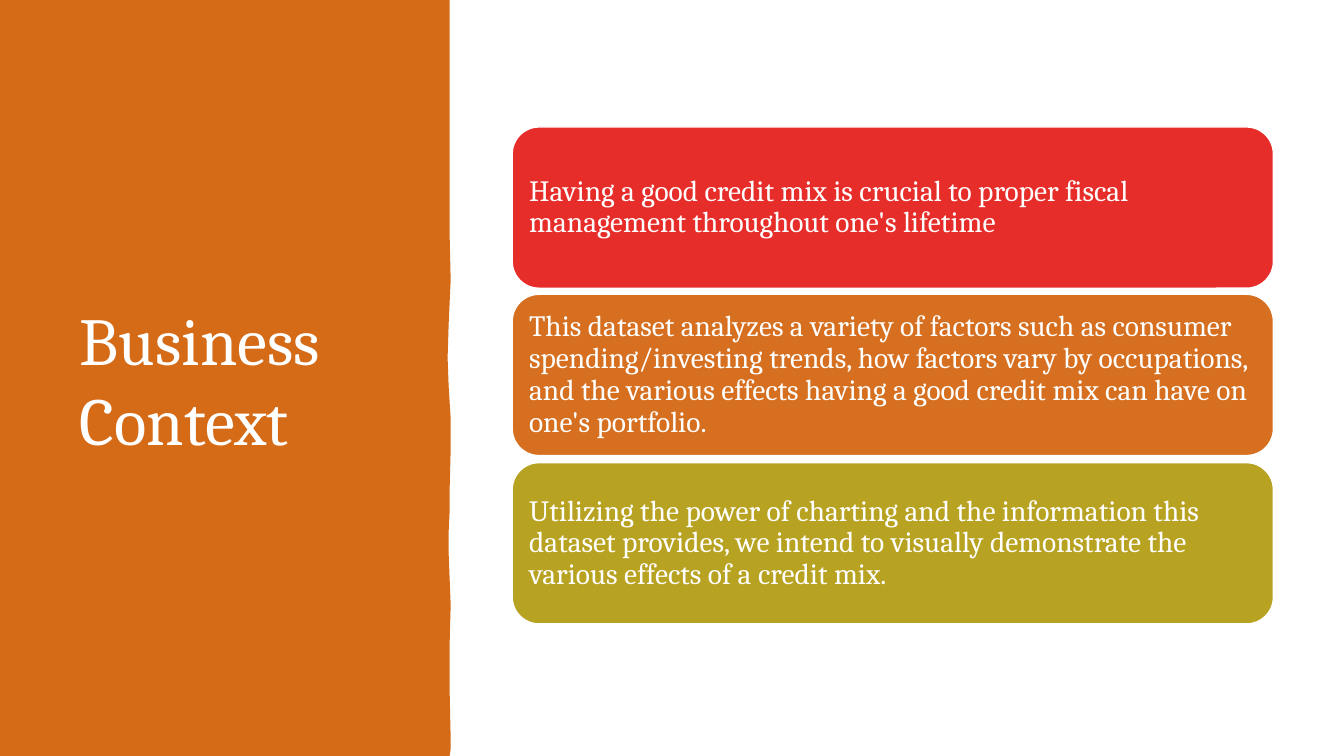
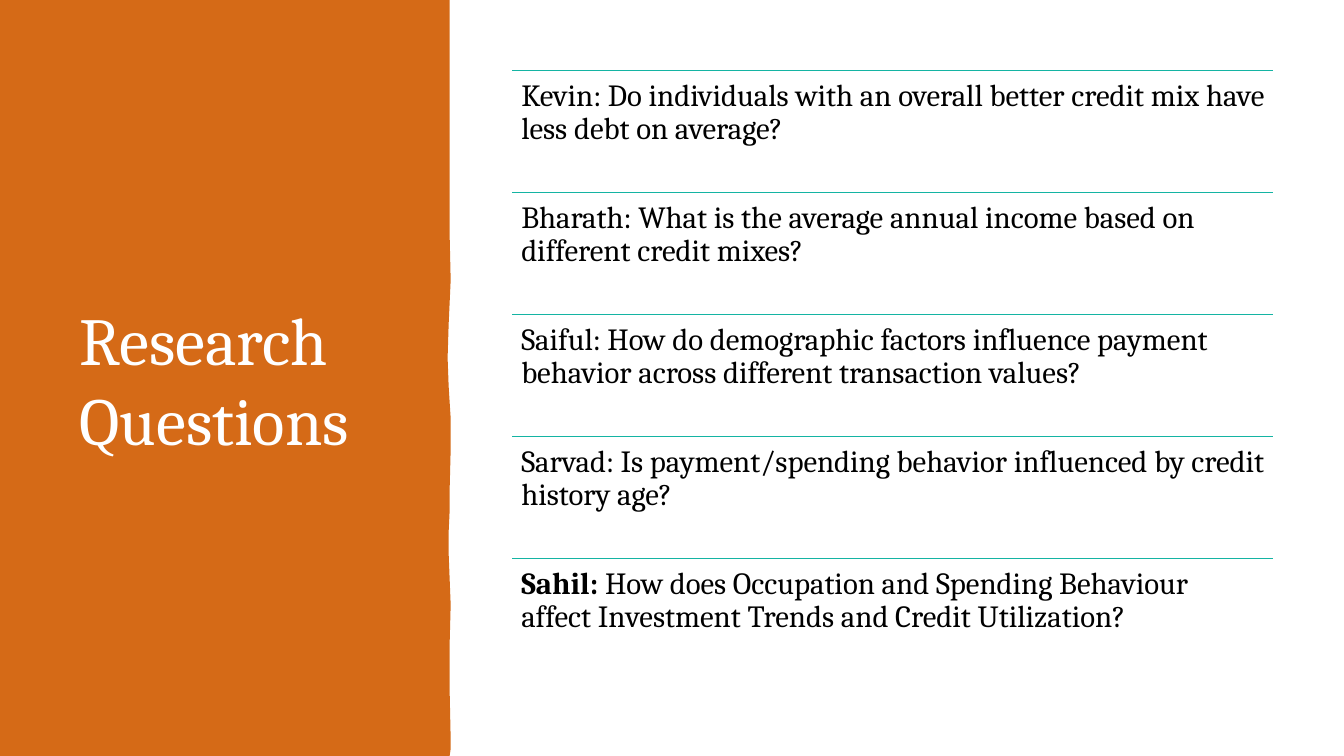
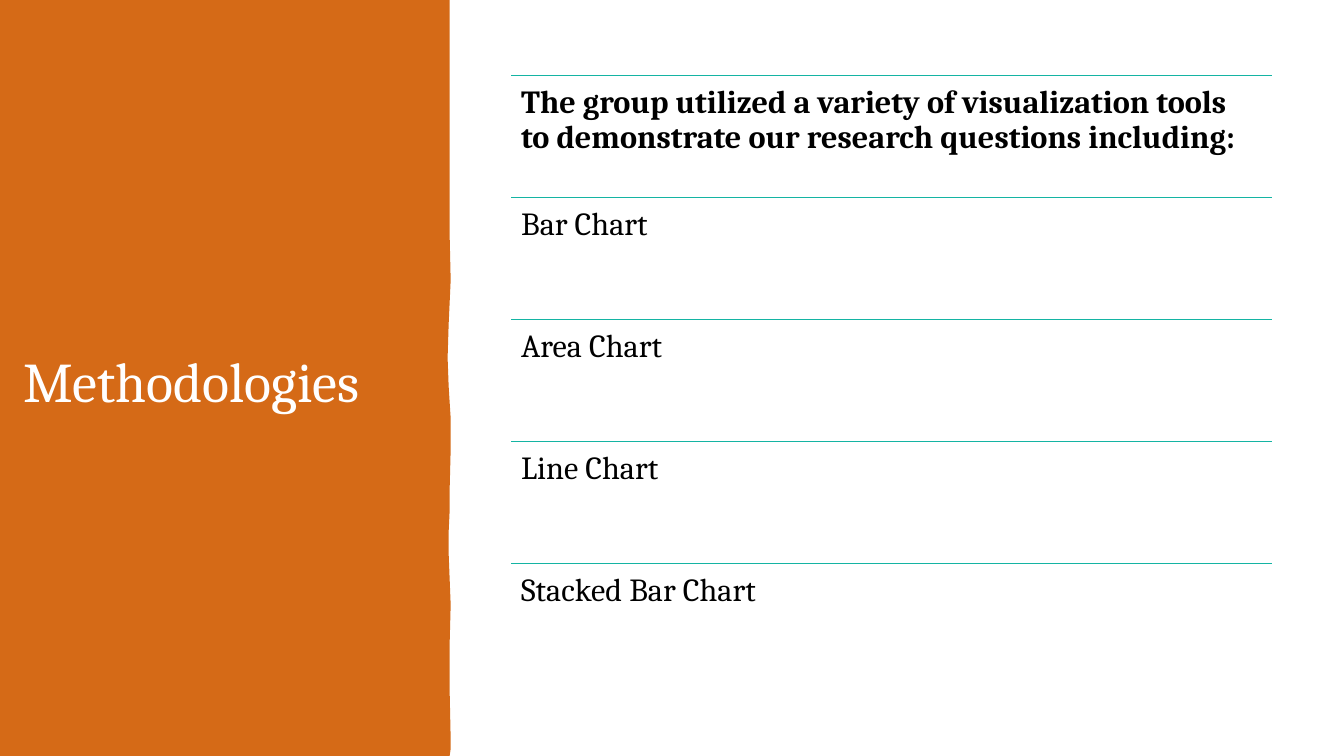
"""Builds three credit mix slides with a shared wavy title band."""
import pptx
import pptx.dml.color
import pptx.enum.shapes
import pptx.enum.text
import pptx.util
from pptx.oxml.ns import qn
from lxml import etree

PX = 9144
SLIDE_WIDTH, SLIDE_HEIGHT = 1333, 750

THEME = {
    "font": "Cambria", "white": "FFFFFF", "ink": "000000",
    "band": "D56A17", "rule": "14B4A3",
    "cards": ["E72D29", "D66F1F", "B8A221"],
    "title": 48, "small_title": 40, "card": 21, "question": 22, "method": 23,
}

BAND_EDGE = [
    (446, 0), (446, 63), (446, 102), (446, 141), (446, 174), (446, 233),
    (447, 278), (445, 322), (444, 355), (445, 383), (447, 415), (447, 446),
    (446, 486), (446, 507), (445, 528), (445, 549), (447, 600), (446, 639),
    (446, 685), (447, 733), (447, 743), (446, 750),
]

CONTEXT = [
    "Having a good credit mix is crucial to proper fiscal management throughout one's lifetime",
    "This dataset analyzes a variety of factors such as consumer spending/investing trends, "
    "how factors vary by occupations, and the various effects having a good credit mix can have "
    "on one's portfolio.",
    "Utilizing the power of charting and the information this dataset provides, we intend to "
    "visually demonstrate the various effects of a credit mix.",
]

QUESTIONS = [
    ("", "Kevin: Do individuals with an overall better credit mix have less debt on average?"),
    ("", "Bharath: What is the average annual income based on different credit mixes?"),
    ("", "Saiful: How do demographic factors influence payment behavior across different "
         "transaction values?"),
    ("", "Sarvad: Is payment/spending behavior influenced by credit history age?"),
    ("Sahil: ", "How does Occupation and Spending Behaviour affect Investment Trends and "
                "Credit Utilization?"),
]

METHODS = [
    ("The group utilized a variety of visualization tools to demonstrate our research "
     "questions including:", ""),
    ("", "Bar Chart"),
    ("", "Area Chart"),
    ("", "Line Chart"),
    ("", "Stacked Bar Chart"),
]


def px(*lengths):
    return [length * PX for length in lengths]


def color(name):
    return pptx.dml.color.RGBColor.from_string(THEME.get(name, name))


def write_text(box, text, lead="", size=21, ink="ink", anchor="TOP", inset=(10, 5), spacing=0.9):
    frame = box.text_frame
    frame.word_wrap = True
    frame.vertical_anchor = pptx.enum.text.MSO_ANCHOR[anchor]
    frame.margin_left = frame.margin_right = inset[0] * PX
    frame.margin_top = frame.margin_bottom = inset[1] * PX
    para = frame.paragraphs[0]
    para.alignment = pptx.enum.text.PP_ALIGN.LEFT
    para.line_spacing = spacing
    for words, bold in ((lead, True), (text, False)):
        if words:
            span = para.add_run()
            span.text = words
            span.font.name = THEME["font"]
            span.font.size = pptx.util.Pt(size)
            span.font.bold = bold
            span.font.color.rgb = color(ink)


def add_page(deck, title, place=(69, 70, 339, 611), size=THEME["title"]):
    page = deck.slides.add_slide(deck.slide_layouts[6])
    builder = page.shapes.build_freeform(0, 0, scale=PX)
    builder.add_line_segments(BAND_EDGE + [(0, SLIDE_HEIGHT)])
    band = builder.convert_to_shape()
    band.shadow.inherit = False
    band.fill.solid()
    band.fill.fore_color.rgb = color("band")
    band.line.fill.background()
    box = page.shapes.add_textbox(*px(*place))
    write_text(box, title, size=size, ink="white", anchor="MIDDLE", spacing=1.0)
    return page


def add_cards(page, texts, left=508, top=126, width=755, height=160, pitch=166.5):
    for index, (text, fill) in enumerate(zip(texts, THEME["cards"])):
        place = px(left, round(top + index * pitch), width, height)
        card = page.shapes.add_shape(pptx.enum.shapes.MSO_SHAPE.ROUNDED_RECTANGLE, *place)
        card.shadow.inherit = False
        card.fill.solid()
        card.fill.fore_color.rgb = color(fill)
        card.line.color.rgb = color("white")
        card.line.width = pptx.util.Pt(1)
        write_text(card, text, size=THEME["card"], ink="white", anchor="MIDDLE", inset=(9, 9))


def add_ruled_rows(page, rows, left, top, size, inset, width=755, pitch=121):
    for index, (lead, text) in enumerate(rows):
        y = top + index * pitch
        rule = page.shapes.add_connector(
            pptx.enum.shapes.MSO_CONNECTOR.STRAIGHT, *px(left, y, left + width, y))
        rule.line.color.rgb = color("rule")
        rule.line.width = pptx.util.Pt(1)
        etree.SubElement(rule._element.spPr, qn("a:effectLst"))
        box = page.shapes.add_textbox(*px(left, y, width, pitch))
        write_text(box, text, lead=lead, size=size, inset=(inset, inset))


def main():
    deck = pptx.Presentation()
    deck.slide_width, deck.slide_height = px(SLIDE_WIDTH, SLIDE_HEIGHT)
    add_cards(add_page(deck, "Business Context"), CONTEXT)
    add_ruled_rows(add_page(deck, "Research Questions"), QUESTIONS,
                   left=508, top=70, size=THEME["question"], inset=9)
    methods = add_page(deck, "Methodologies", place=(13, 75, 395, 605), size=THEME["small_title"])
    add_ruled_rows(methods, METHODS, left=507, top=75, size=THEME["method"], inset=10)
    deck.save("out.pptx")


if __name__ == "__main__":
    main()
